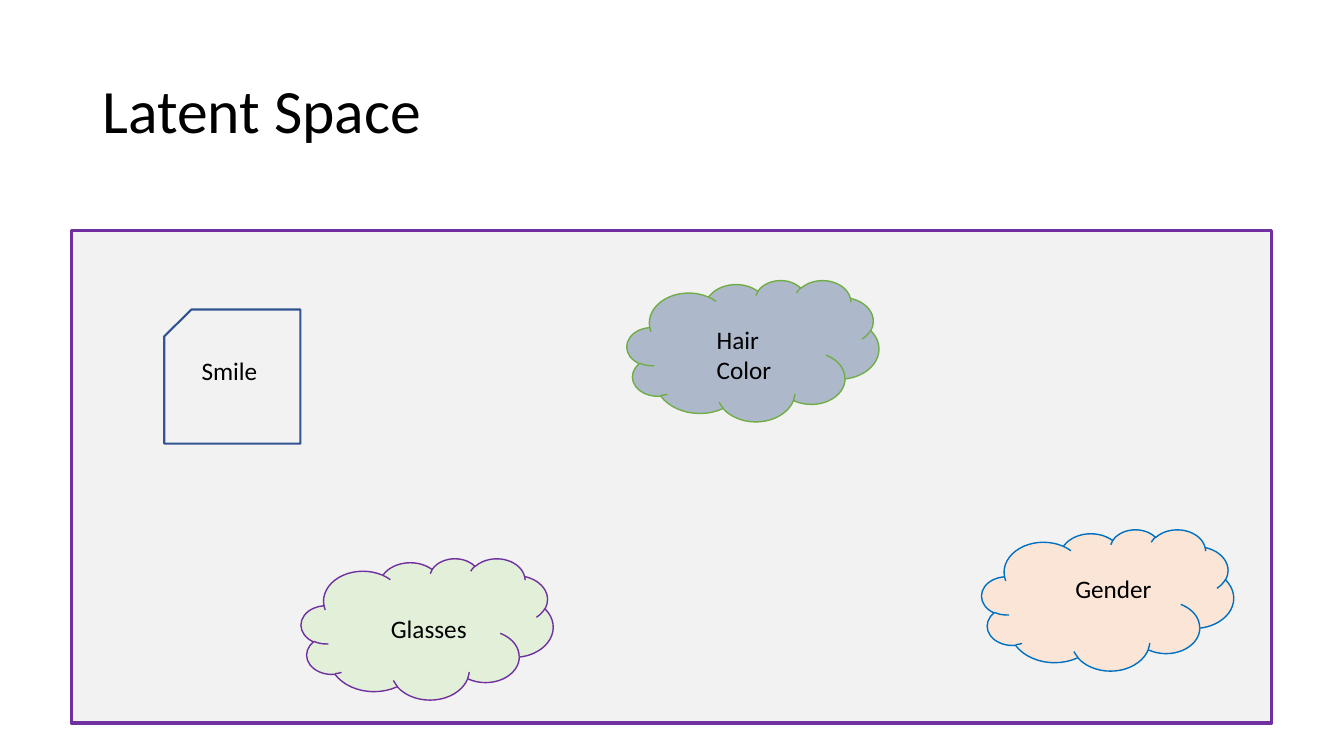
from pptx import Presentation
from pptx.dml.color import RGBColor
from pptx.enum.shapes import MSO_SHAPE
from pptx.enum.text import MSO_ANCHOR
from pptx.util import Cm, Pt

RECTANGLE = MSO_SHAPE.RECTANGLE
CARD = MSO_SHAPE.FLOWCHART_CARD
CLOUD = MSO_SHAPE.CLOUD
TOP, MIDDLE = MSO_ANCHOR.TOP, MSO_ANCHOR.MIDDLE

FONT = "Calibri"
COLORS = {
    "text": "000000",
    "panel": "F2F2F2",
    "purple": "7030A0",
    "navy": "325491",
    "slate": "ADB9CA",
    "green": "70AD47",
    "mint": "E2F0D9",
    "blue": "0070C0",
    "peach": "FBE5D6",
}

TITLE_BOX = (2.33, 1.02, 29.21, 3.68)
PANEL_BOX = (1.8, 5.82, 30.25, 12.4)
CARD_SIZE = (3.43, 3.38)
CLOUD_SIZE = (6.35, 3.56)

# label, shape, size, offset in panel, fill, line, line width, label box in shape
ATTRIBUTES = [
    ("Smile", CARD, CARD_SIZE, (2.34, 1.98), None, "navy", 1.5,
     (0.69, 1.04, 2.31, 1.02)),
    ("Hair Color", CLOUD, CLOUD_SIZE, (14, 1.24), "slate", "green", 1,
     (2.01, 0.99, 2.31, 1.8)),
    ("Glasses", CLOUD, CLOUD_SIZE, (5.79, 8.25), "mint", "purple", 1,
     (2.01, 1.27, 3.15, 1.02)),
    ("Gender", CLOUD, CLOUD_SIZE, (22.94, 7.52), "peach", "blue", 1,
     (2.11, 0.99, 3.15, 1.02)),
]


def color(name):
    return RGBColor.from_string(COLORS[name])


def add_text(page, box, text, size, anchor=TOP, line_spacing=1.0):
    frame = page.shapes.add_textbox(*map(Cm, box)).text_frame
    frame.word_wrap = True
    frame.vertical_anchor = anchor
    frame.text = text
    para = frame.paragraphs[0]
    para.line_spacing = line_spacing
    font = para.runs[0].font
    font.name = FONT
    font.size = Pt(size)
    font.color.rgb = color("text")


def add_outlined_shape(page, kind, box, fill, line, width):
    """Draw a preset shape; a fill of None leaves it see-through."""
    shape = page.shapes.add_shape(kind, *map(Cm, box))
    shape.shadow.inherit = False
    if fill:
        shape.fill.solid()
        shape.fill.fore_color.rgb = color(fill)
    else:
        shape.fill.background()
    shape.line.color.rgb = color(line)
    shape.line.width = Pt(width)


def add_latent_space(page, box):
    """Draw the panel and the labelled attribute regions inside it."""
    add_outlined_shape(page, RECTANGLE, box, "panel", "purple", 2.25)
    for label, kind, size, offset, fill, line, width, label_box in ATTRIBUTES:
        left, top = box[0] + offset[0], box[1] + offset[1]
        add_outlined_shape(page, kind, (left, top, *size), fill, line, width)
        across, down, *label_size = label_box
        add_text(page, (left + across, top + down, *label_size), label, 18)


def main():
    deck = Presentation()
    deck.slide_width, deck.slide_height = Cm(33.87), Cm(19.05)
    page = deck.slides.add_slide(deck.slide_layouts[6])
    add_text(page, TITLE_BOX, "Latent Space", 44, MIDDLE, 0.9)
    add_latent_space(page, PANEL_BOX)
    deck.save("out.pptx")


if __name__ == "__main__":
    main()
